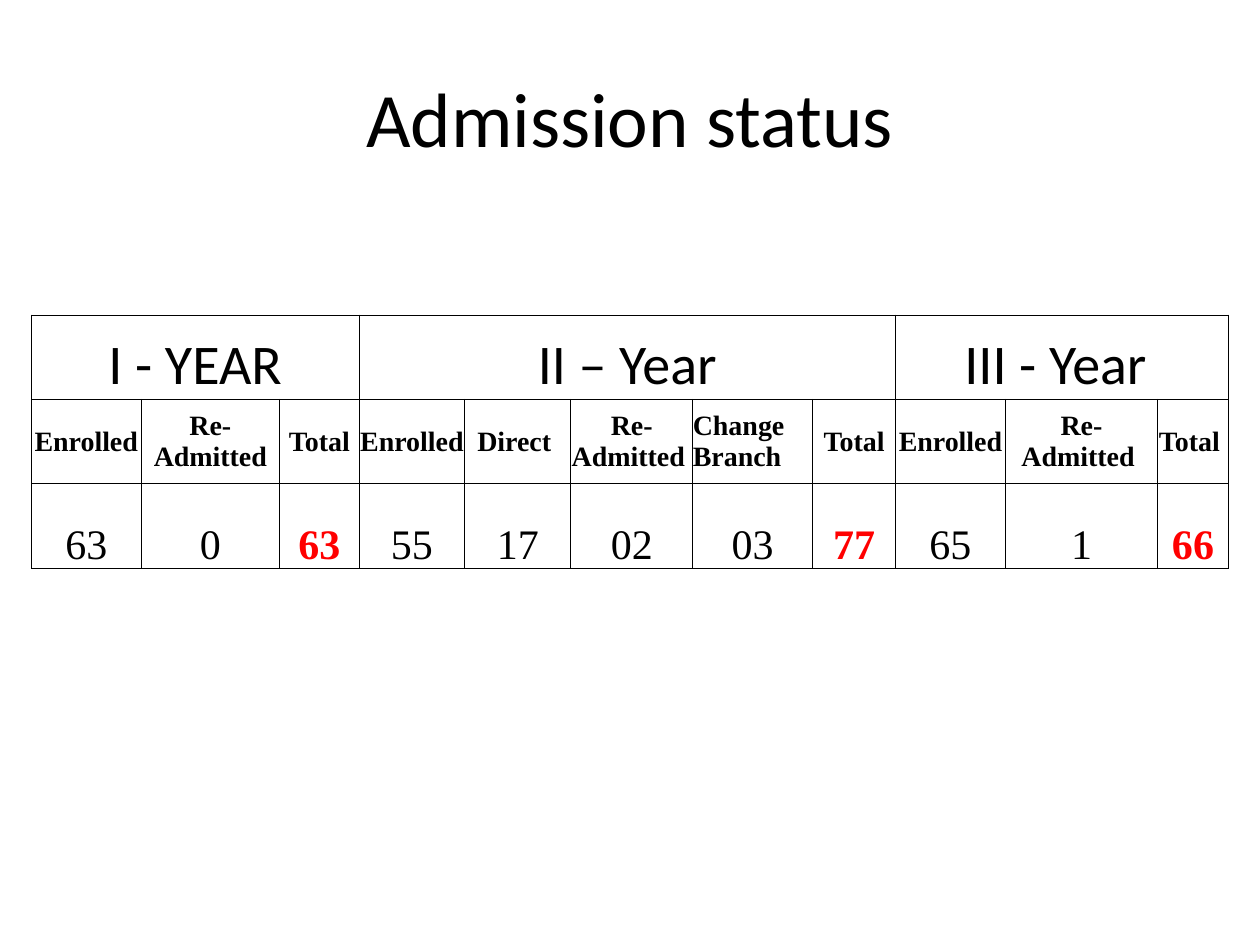
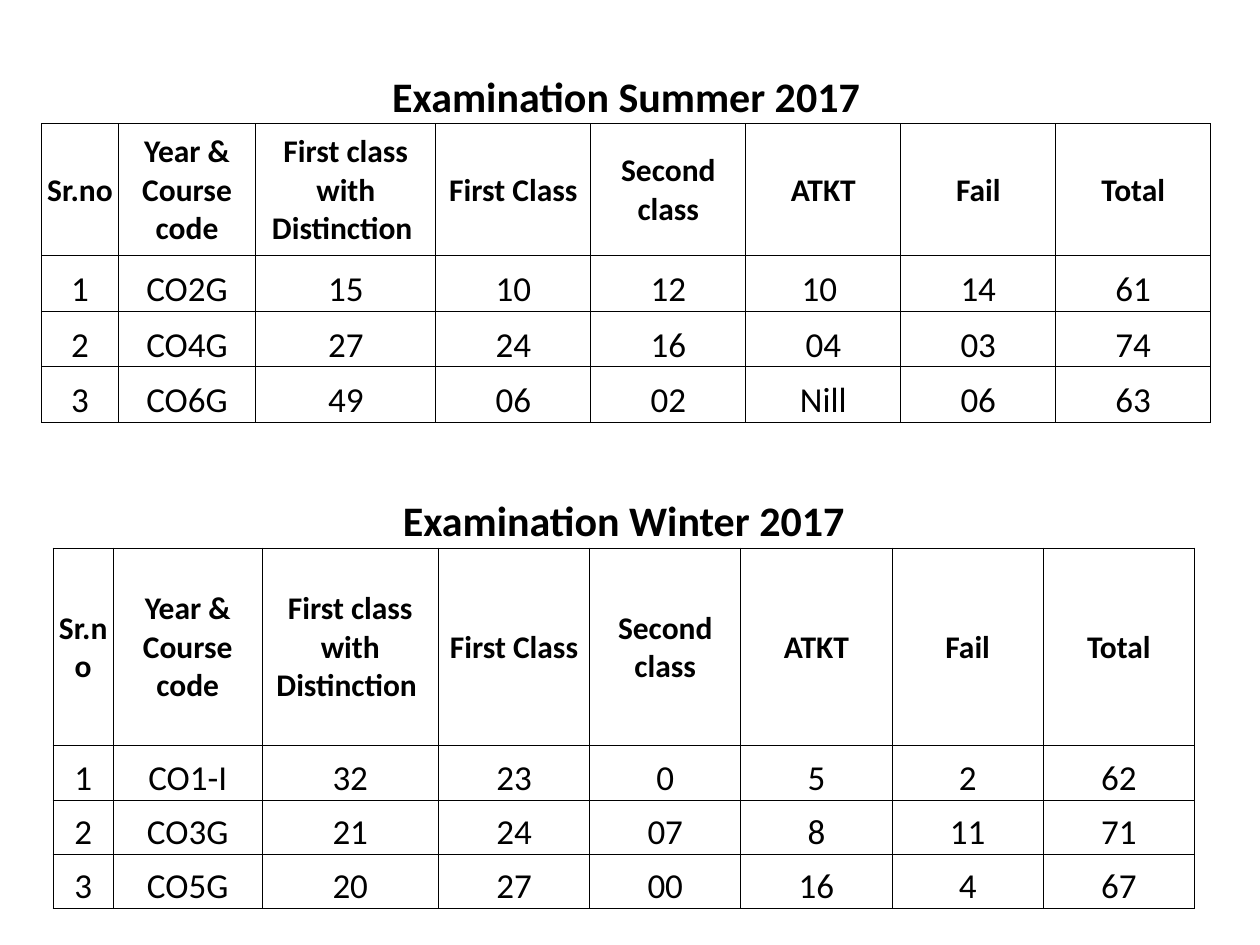
from lxml import etree
from pptx import Presentation
from pptx import util as u
from pptx.dml.color import RGBColor
from pptx.enum import text
from pptx.oxml.ns import qn

BODY, SERIF = "Calibri", "Times New Roman"
BLACK, RED = "000000", "FF0000"
CENTER, LEFT = text.PP_ALIGN.CENTER, text.PP_ALIGN.LEFT
MIDDLE, BOTTOM = text.MSO_ANCHOR.MIDDLE, text.MSO_ANCHOR.BOTTOM


def rgb(color):
    return RGBColor.from_string(color)


class Deck:
    """Holds the presentation, the current slide and the shared style."""

    def __init__(self):
        self.prs = Presentation()
        self.prs.slide_width, self.prs.slide_height = u.Inches(10), u.Inches(7.5)
        self.s = None

    def new_slide(self):
        self.s = self.prs.slides.add_slide(self.prs.slide_layouts[6])

    def add_text(self, tf, words, size, font=BODY, color=BLACK, bold=False, align=CENTER):
        p = tf.paragraphs[0]
        p.alignment = align
        r = p.add_run()
        r.text = words
        r.font.name, r.font.size, r.font.bold = font, u.Pt(size), bold
        r.font.color.rgb = rgb(color)

    def title(self, words):
        sp = self.s.shapes.add_textbox(u.Inches(0.5), u.Inches(0.3), u.Inches(9), u.Inches(1.25))
        tf = sp.text_frame
        tf.word_wrap = True
        tf.vertical_anchor = MIDDLE
        self.add_text(tf, words, 44)

    def table(self, left, top, cols, rows, margins):
        """Add a plain table with thin black lines around every cell."""
        frame = self.s.shapes.add_table(len(rows), len(cols), u.Inches(left), u.Inches(top),
                                        u.Inches(sum(cols)), u.Inches(sum(rows)))
        tbl = frame.table
        tbl.first_row = tbl.horz_banding = False
        for column, width in zip(tbl.columns, cols):
            column.width = u.Inches(width)
        for row, height in zip(tbl.rows, rows):
            row.height = u.Inches(height)
        for cell in tbl.iter_cells():
            cell.fill.background()
            (cell.margin_left, cell.margin_top,
             cell.margin_right, cell.margin_bottom) = map(u.Inches, margins)
            self.borders(cell)
        return tbl

    def borders(self, cell, sides="LRTB"):
        """Draw the given sides of a cell and hide the others."""
        tc_pr = cell._tc.get_or_add_tcPr()
        for i, side in enumerate("LRTB"):
            tag = qn(f"a:ln{side}")
            for old in tc_pr.findall(tag):
                tc_pr.remove(old)
            ln = etree.Element(tag, w=str(u.Pt(0.5)))
            if side in sides:
                fill = etree.SubElement(ln, qn("a:solidFill"))
                etree.SubElement(fill, qn("a:srgbClr"), val=BLACK)
            else:
                etree.SubElement(ln, qn("a:noFill"))
            tc_pr.insert(i, ln)

    def cell(self, cell, words, size, anchor=BOTTOM, **style):
        cell.vertical_anchor = anchor
        self.add_text(cell.text_frame, words, size, **style)

    def exam_table(self, left, top, cols, rows, heading, results):
        """Add one examination table: open heading row, column names, results."""
        tbl = self.table(left, top, cols, rows, (0.01, 0.01, 0.01, 0))
        last = len(cols) - 1
        for col in range(len(cols)):
            self.borders(tbl.cell(0, col), "B")
        tbl.cell(0, 0).merge(tbl.cell(0, last))
        self.cell(tbl.cell(0, 0), heading, 24, bold=True)
        for col, name in enumerate(EXAM_COLUMNS):
            self.cell(tbl.cell(1, col), name, 18, MIDDLE, bold=True)
        for row, values in enumerate(results, 1):
            for col, value in enumerate((str(row), *values)):
                self.cell(tbl.cell(row + 1, col), value, 20)


# Admission figures: year, then (column name, count)
YEARS = [
    ("I - YEAR", [("Enrolled ", "63"), ("Re-Admitted", "0"), ("Total", "63")]),
    ("II – Year", [("Enrolled", "55"), ("Direct ", "17"), ("Re-Admitted ", "02"),
                   ("Change Branch", "03"), ("Total", "77")]),
    ("III - Year ", [("Enrolled ", "65"), ("Re-Admitted ", "1"), ("Total ", "66")]),
]
ADMISSION_COLS = [0.87, 1.1, 0.63, 0.84, 0.84, 0.97, 0.95, 0.66, 0.87, 1.21, 0.56]

# Examination results by course
EXAM_COLUMNS = ["Sr.no", "Year & Course code", "First class with Distinction ",
                "First Class", "Second class", "ATKT", "Fail", "Total"]
SUMMER = [
    ("CO2G", "15", "10", "12", "10 ", "14", "61"),
    ("CO4G", "27", "24", "16", "04", "03", "74"),
    ("CO6G", "49", "06", "02", "Nill", "06", "63"),
]
WINTER = [
    ("CO1-I", "32", "23", "0", "5", "2", "62"),
    ("CO3G", "21", "24", "07", "8", "11", "71"),
    ("CO5G", "20", "27", "00", "16", "4", "67"),
]


def admission_slide(deck):
    deck.new_slide()
    deck.title("Admission status")
    tbl = deck.table(0.25, 2.5, ADMISSION_COLS, [0.67] * 3, (0, 0, 0, 0))
    col = 0
    for year, counts in YEARS:
        tbl.cell(0, col).merge(tbl.cell(0, col + len(counts) - 1))
        deck.cell(tbl.cell(0, col), year, 32)
        for name, count in counts:
            is_total = name.startswith("Total")
            deck.cell(tbl.cell(1, col), name, 16, MIDDLE, font=SERIF, bold=True,
                      align=LEFT if name == "Change Branch" else CENTER)
            deck.cell(tbl.cell(2, col), count, 24, font=SERIF, bold=is_total,
                      color=RED if is_total else BLACK)
            col += 1


def examination_slide(deck):
    deck.new_slide()
    deck.exam_table(0.33, 0.57, [0.61, 1.09, 1.43] + [1.23] * 5, [0.41, 1.05] + [0.44] * 3,
                    "Examination Summer 2017", SUMMER)
    deck.exam_table(0.42, 3.92, [0.48, 1.18, 1.4] + [1.2] * 5, [0.43, 1.57] + [0.43] * 3,
                    "Examination Winter 2017", WINTER)


def main():
    deck = Deck()
    admission_slide(deck)
    examination_slide(deck)
    deck.prs.save("out.pptx")


if __name__ == "__main__":
    main()
